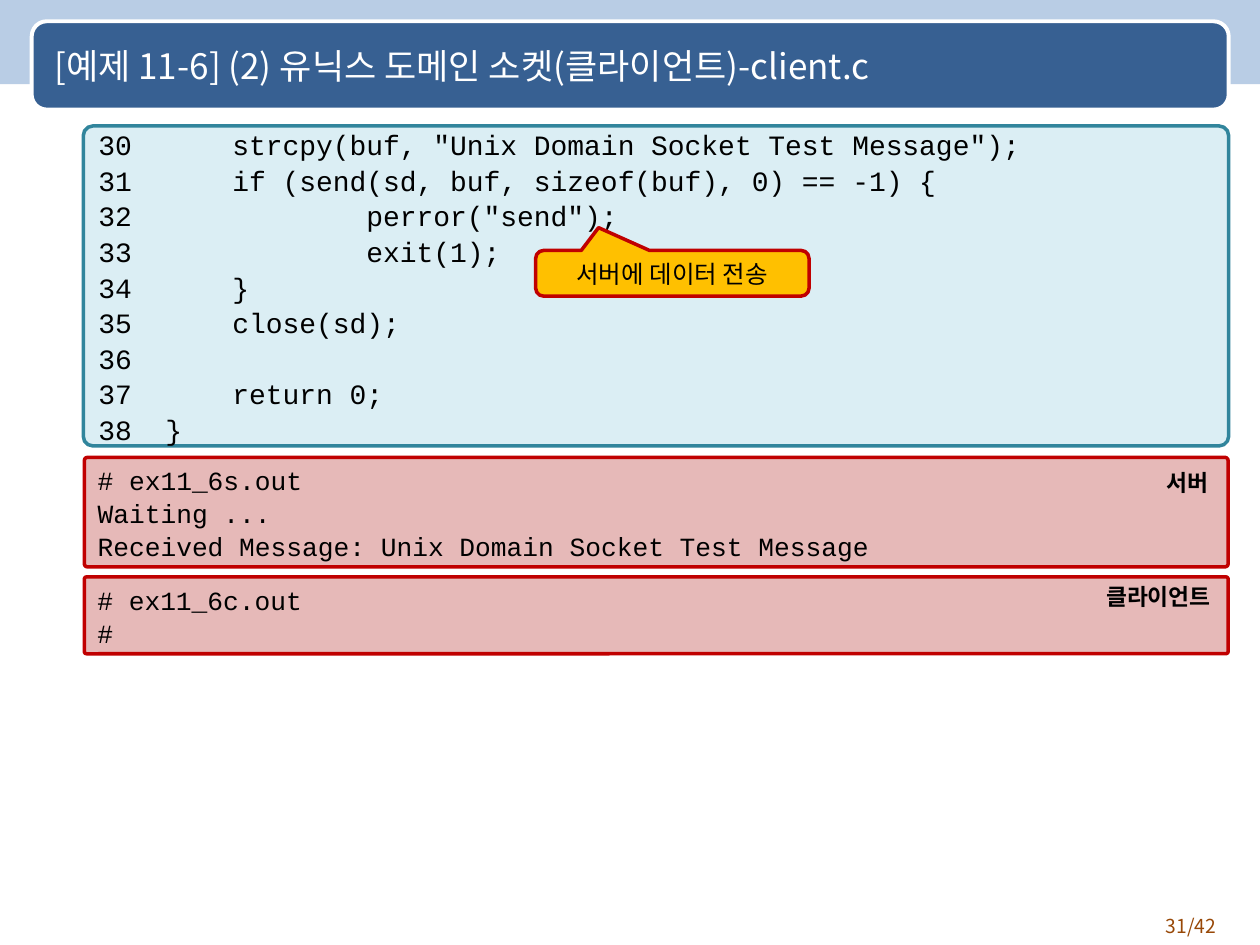
from pptx import Presentation
from pptx.dml.color import RGBColor as Rgb
from pptx.enum.shapes import MSO_SHAPE as Kind
from pptx.enum.text import MSO_ANCHOR as Anchor, MSO_AUTO_SIZE as Fit, PP_ALIGN as Align
from pptx.oxml.ns import qn
from pptx.util import Cm, Pt

HUES = {
    "band": "B9CDE5", "bar": "376092", "white": "FFFFFF", "black": "000000",
    "code": "DBEEF4", "teal": "31859C", "note": "FFC000", "red": "C00000",
    "pink": "E6B9B8", "brown": "984807",
}
MONO, SANS = "Courier New", "Noto Sans CJK KR"

CODE = """30      strcpy(buf, "Unix Domain Socket Test Message");
31      if (send(sd, buf, sizeof(buf), 0) == -1) {
32              perror("send");
33              exit(1);
34      }
35      close(sd);
36
37      return 0;
38  }"""
SERVER = """# ex11_6s.out
Waiting ...
Received Message: Unix Domain Socket Test Message"""
CLIENT = """# ex11_6c.out
#"""


class Deck:
    def __init__(self):
        self.prs = Presentation()
        self.prs.slide_width, self.prs.slide_height = Cm(25.4), Cm(19.05)
        self.slide = self.prs.slides.add_slide(self.prs.slide_layouts[5])
        self.shapes = self.slide.shapes

    def text(self, shape, words, size, font=SANS, hue="black", bold=False,
             align=Align.LEFT, pitch=1.0, **frame):
        body = shape.text_frame
        body.text = words
        for key, val in frame.items():
            setattr(body, key, val)
        look = {"size": Pt(size), "name": font, "bold": bold}
        for para in body.paragraphs:
            para.alignment = align
            para.line_spacing = pitch
            for run in para.runs:
                for key, val in look.items():
                    setattr(run.font, key, val)
                run.font.color.rgb = Rgb.from_string(HUES[hue])
                props = run.font._element
                props.append(props.makeelement(qn("a:ea"), {"typeface": font}))

    def box(self, kind, place, fill, line=None, width=2, adj=()):
        shape = self.shapes.add_shape(kind, *map(Cm, place))
        shape.shadow.inherit = False
        shape.fill.solid()
        shape.fill.fore_color.rgb = Rgb.from_string(HUES[fill])
        if line:
            shape.line.color.rgb = Rgb.from_string(HUES[line])
            shape.line.width = Pt(width)
        else:
            shape.line.fill.background()
        for num, val in enumerate(adj):
            shape.adjustments[num] = val
        return shape

    def panel(self, place, words, size, fill, line):
        shape = self.box(Kind.ROUNDED_RECTANGLE, place, fill, line, adj=[0.03])
        self.text(shape, words, size, MONO, align=Align.JUSTIFY, pitch=1.06,
                  vertical_anchor=Anchor.MIDDLE, word_wrap=True,
                  auto_size=Fit.SHAPE_TO_FIT_TEXT)

    def label(self, place, words, size, **look):
        self.text(self.shapes.add_textbox(*map(Cm, place)), words, size, **look)

    def title(self, place, words):
        shape = self.shapes.title
        for key, val in zip(("left", "top", "width", "height"), place):
            setattr(shape, key, Cm(val))
        self.text(shape, words, 20, hue="white", vertical_anchor=Anchor.MIDDLE,
                  word_wrap=True)
        # Bring the title in front of the header bar
        self.shapes._spTree.append(shape._element)


def main():
    deck = Deck()

    # Header
    deck.box(Kind.RECTANGLE, (-0.03, 0, 25.46, 1.7), "band")
    deck.box(Kind.ROUNDED_RECTANGLE, (0.64, 0.43, 24.13, 1.78),
             "bar", "white", 2.25, [0.17])
    deck.title((0.84, 0.48, 23.5, 1.7),
               "[예제 11-6] (2) 유닉스 도메인 소켓(클라이언트)-client.c")

    # Code listing and its callout
    deck.panel((1.68, 2.54, 23.09, 6.45), CODE, 16, "code", "teal")
    note = deck.box(Kind.ROUNDED_RECTANGULAR_CALLOUT, (10.8, 5.05, 5.51, 0.92),
                    "note", "red", adj=[-0.27, -1, 0.17])
    deck.text(note, "서버에 데이터 전송", 14, align=Align.CENTER,
              vertical_anchor=Anchor.MIDDLE, word_wrap=True)

    # Program output
    deck.panel((1.7, 9.22, 23.06, 2.21), SERVER, 15, "pink", "red")
    deck.panel((1.7, 11.63, 23.06, 1.55), CLIENT, 15, "pink", "red")
    for place, words in (((23.27, 9.32, 1.35, 0.81), "서버"),
                         ((22.05, 11.63, 2.62, 0.81), "클라이언트")):
        deck.label(place, words, 13, bold=True, word_wrap=False)

    # Page number
    deck.label((22.66, 18.31, 2.11, 0.74), "31/42", 11, hue="brown",
               align=Align.RIGHT, word_wrap=True)

    deck.prs.save("out.pptx")


if __name__ == "__main__":
    main()
